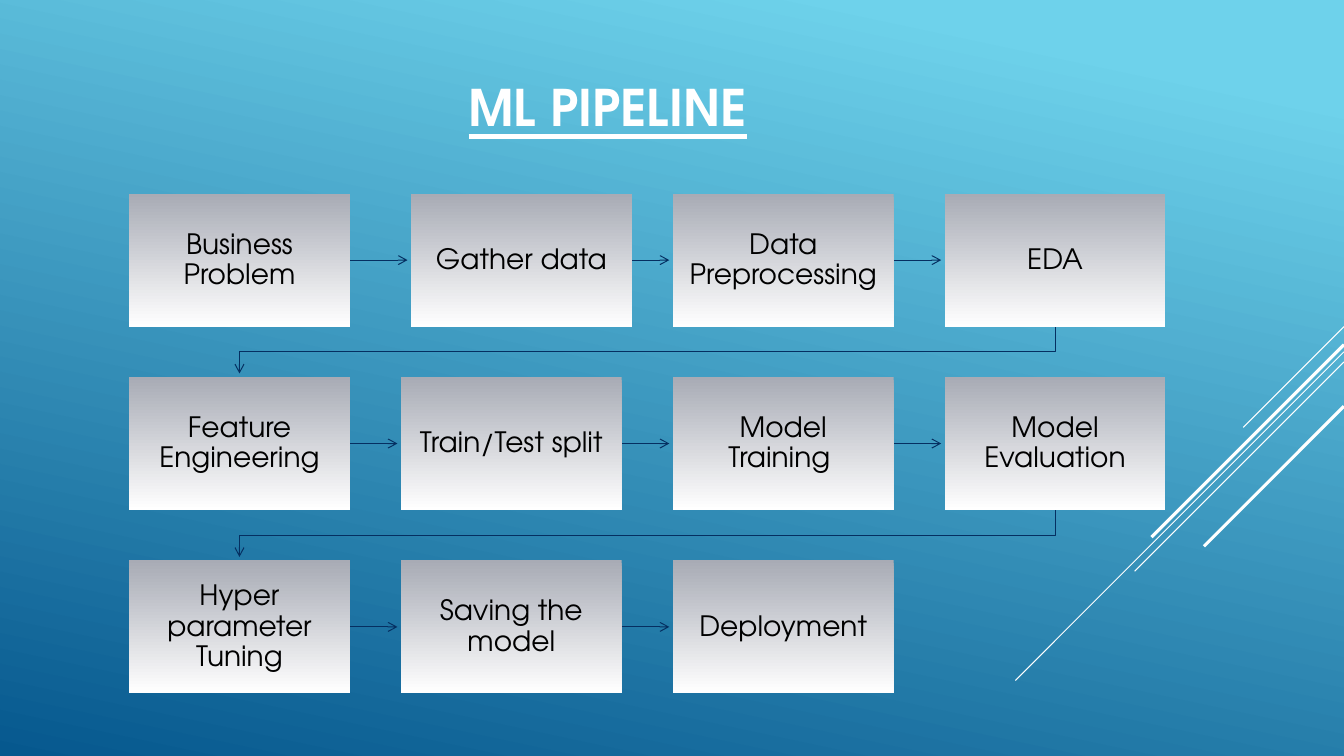
"""Build the ML pipeline slide."""
from typing import NamedTuple

from pptx import Presentation
from pptx.dml.color import RGBColor
from pptx.dml.fill import FillFormat
from pptx.dml.line import LineFormat
from pptx.enum.shapes import MSO_CONNECTOR, MSO_SHAPE
from pptx.enum.text import MSO_ANCHOR, PP_ALIGN
from pptx.oxml.ns import qn
from pptx.oxml.xmlchemy import OxmlElement
from pptx.shapes.base import BaseShape
from pptx.shapes.connector import Connector
from pptx.slide import Slide
from pptx.util import Pt

FONT = "TeX Gyre Adventor"
WHITE = RGBColor(0xFF, 0xFF, 0xFF)
BLACK = RGBColor(0, 0, 0)
NAVY = RGBColor(0x05, 0x2F, 0x61)
SKY = RGBColor(0x6E, 0xD2, 0xEB)
OCEAN = RGBColor(0x06, 0x58, 0x8E)
GREY = RGBColor(0xA8, 0xAB, 0xB5)

WIDTH, HEIGHT = 960, 540
LEFT, TOP = 92.2, 138.3
BOX_W, BOX_H = 157.7, 95
STEP_X, STEP_Y = 194.2, 131
INSET = 11.5
TIP = 2.5


class Step(NamedTuple):
    """A pipeline step in the grid, with an optional shift to the right."""
    text: str
    row: int
    col: int
    shift: float = 0

    @property
    def left(self) -> float:
        """Left edge of the box."""
        return LEFT + self.col * STEP_X + self.shift

    @property
    def top(self) -> float:
        """Top edge of the box."""
        return TOP + self.row * STEP_Y


class Ray(NamedTuple):
    """A diagonal stripe from the right edge, falling to the left."""
    top: float
    run: float
    weight: float


STEPS = [
    Step("Business Problem", 0, 0),
    Step("Gather data", 0, 1, 7.2),
    Step("Data Preprocessing", 0, 2),
    Step("EDA", 0, 3),
    Step("Feature Engineering", 1, 0),
    Step("Train/Test split ", 1, 1),
    Step("Model Training ", 1, 2),
    Step("Model Evaluation", 1, 3),
    Step("Hyper parameter Tuning", 2, 0),
    Step("Saving the model", 2, 1),
    Step("Deployment", 2, 2),
]
RAYS = [
    Ray(233.3, 72, 0.75),
    Ray(251.3, 234.7, 0.75),
    Ray(258.5, 149.5, 0.75),
    Ray(246.2, 137.5, 2.25),
    Ray(290.2, 100, 2.25),
]


def blend(fill: FillFormat, start: RGBColor, end: RGBColor,
          angle: float, first: float = 0) -> None:
    """Fill with two colours; the angle runs clockwise."""
    fill.gradient()
    fill.gradient_angle = 360 - angle
    for stop, color, place in zip(fill.gradient_stops, (start, end), (first, 1)):
        stop.color.rgb = color
        stop.position = place


def style(line: LineFormat, color: RGBColor, weight: float) -> None:
    """Set the colour and weight of a line."""
    line.color.rgb = color
    line.width = Pt(weight)


def add_tip(shape: BaseShape) -> None:
    """Put an open arrowhead at the end of a line."""
    tip = OxmlElement("a:tailEnd")
    tip.set("type", "arrow")
    shape.element.spPr.find(qn("a:ln")).append(tip)


def add_line(slide: Slide, x1: float, y1: float, x2: float, y2: float,
             color: RGBColor, weight: float) -> Connector:
    """Draw a straight line without a shadow."""
    line = slide.shapes.add_connector(
        MSO_CONNECTOR.STRAIGHT, Pt(x1), Pt(y1), Pt(x2), Pt(y2))
    style(line.line, color, weight)
    line.element.spPr.append(OxmlElement("a:effectLst"))
    return line


def add_title(slide: Slide, text: str) -> None:
    """Write the underlined heading."""
    box = slide.shapes.add_textbox(Pt(327.6), Pt(19.4), Pt(233.3), Pt(118.8))
    frame = box.text_frame
    frame.word_wrap = True
    frame.vertical_anchor = MSO_ANCHOR.MIDDLE
    frame.text = text
    para = frame.paragraphs[0]
    para.line_spacing = 0.9
    font = para.font
    font.name, font.size, font.color.rgb = FONT, Pt(36), WHITE
    font.bold = font.underline = True


def add_step(slide: Slide, step: Step) -> None:
    """Draw the box of one step."""
    box = slide.shapes.add_shape(
        MSO_SHAPE.RECTANGLE, Pt(step.left), Pt(step.top), Pt(BOX_W), Pt(BOX_H))
    box.shadow.inherit = False
    box.line.fill.background()
    blend(box.fill, GREY, WHITE, 90)
    frame = box.text_frame
    frame.word_wrap = True
    frame.vertical_anchor = MSO_ANCHOR.MIDDLE
    frame.margin_left = frame.margin_right = Pt(INSET)
    frame.margin_top = frame.margin_bottom = Pt(INSET)
    frame.text = step.text
    para = frame.paragraphs[0]
    para.alignment = PP_ALIGN.CENTER
    para.line_spacing = 0.9
    font = para.font
    font.name, font.size, font.color.rgb = FONT, Pt(20), BLACK


def add_link(slide: Slide, start: Step, end: Step) -> None:
    """Draw the arrow between two steps, bent where the row changes."""
    if start.row == end.row:
        mid = start.top + BOX_H / 2
        link = add_line(slide, start.left + BOX_W, mid,
                        end.left - TIP, mid, NAVY, 0.75)
    else:
        x1, x2 = (step.left + BOX_W / 2 for step in (start, end))
        base = start.top + BOX_H
        bend = (base + end.top) / 2
        path = slide.shapes.build_freeform(Pt(x1), Pt(base))
        path.add_line_segments(
            [(Pt(x1), Pt(bend)), (Pt(x2), Pt(bend)), (Pt(x2), Pt(end.top - TIP))],
            close=False)
        link = path.convert_to_shape()
        link.shadow.inherit = False
        link.fill.background()
        style(link.line, NAVY, 0.75)
    add_tip(link)


def main() -> None:
    """Build and save the deck."""
    deck = Presentation()
    deck.slide_width, deck.slide_height = Pt(WIDTH), Pt(HEIGHT)
    slide = deck.slides.add_slide(deck.slide_layouts[6])
    blend(slide.background.fill, SKY, OCEAN, 102, 0.1)
    for ray in RAYS:
        add_line(slide, WIDTH, ray.top, WIDTH - ray.run, ray.top + ray.run,
                 WHITE, ray.weight)
    add_title(slide, "ML PIPELINE")
    for start, end in zip(STEPS, STEPS[1:]):
        add_link(slide, start, end)
    for step in STEPS:
        add_step(slide, step)
    deck.save("out.pptx")


main()
